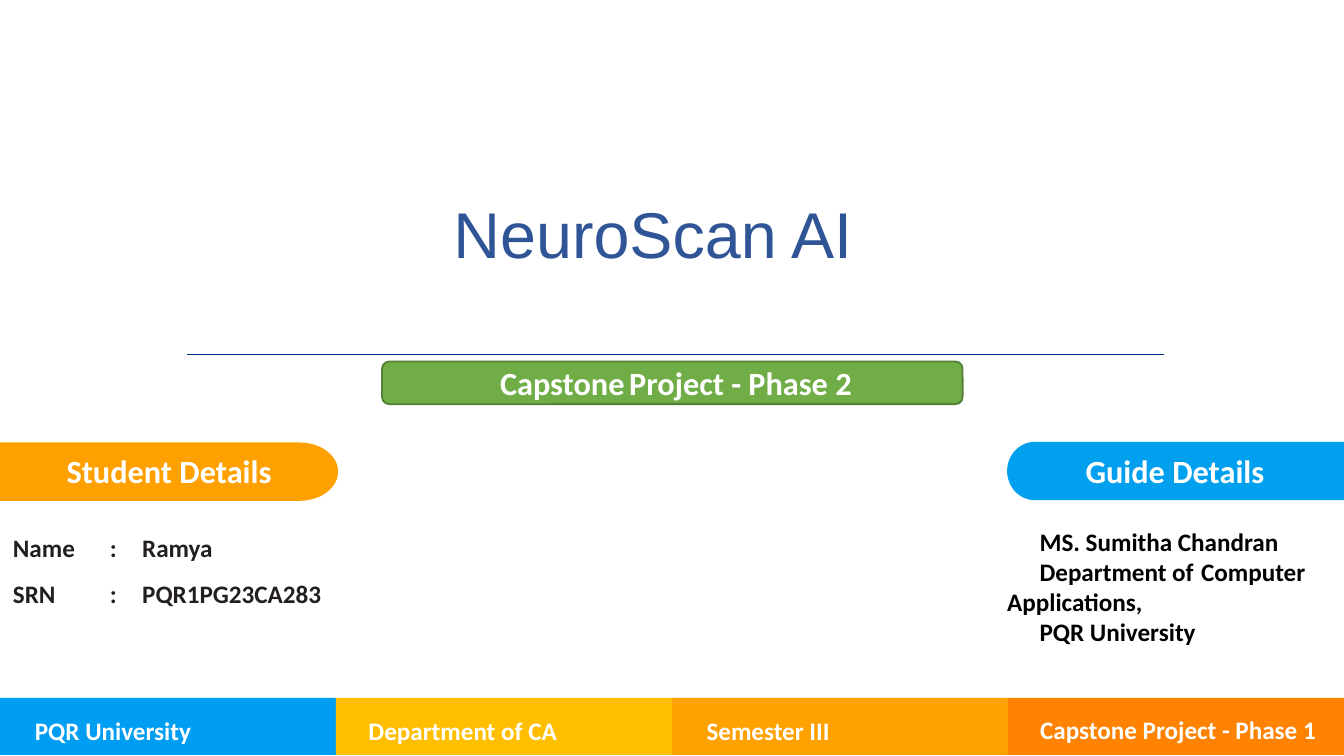
from dataclasses import dataclass
from math import cos, pi, sin

from lxml.etree import SubElement
from pptx import Presentation
from pptx.dml.color import RGBColor
from pptx.enum.shapes import MSO_CONNECTOR, MSO_SHAPE
from pptx.enum.text import MSO_ANCHOR, PP_ALIGN
from pptx.oxml.ns import qn
from pptx.shapes.autoshape import Shape
from pptx.slide import Slide
from pptx.text.text import _Run
from pptx.util import Pt

COLORS = {
    "blue": "009EF3", "yellow": "FFBF00", "amber": "FFA100", "orange": "FF8200",
    "student": "FFA001", "guide": "00A0EF", "green": "70AD47", "green_line": "538035",
    "title": "2F5597", "rule": "002E8E", "ink": "231F20", "black": "000000", "white": "FFFFFF",
}
WIDTH, HEIGHT = 1496.88, 841.68
FOOTER_TOP, FOOTER_HEIGHT = 776.9, 63.7
BANNER_HEIGHT = 65


@dataclass
class Label:
    text: str
    left: float
    top: float
    width: float
    height: float
    size: float = 28
    color: str = "white"
    font: str = "Calibri"
    bold: bool = True
    align: PP_ALIGN = PP_ALIGN.LEFT
    inset_left: float = 0
    inset_top: float = 1
    before: float = 1
    spacing: float = 1.0


@dataclass
class Segment:
    text: str
    color: str
    text_left: float
    text_top: float


@dataclass
class Banner:
    text: str
    color: str
    top: float
    flat_x: float
    cap_x: float
    cap_radius: float
    text_left: float
    text_width: float


LABELS = [
    Label("NeuroScan AI", 144, 215.3, 1166.4, 88.6, 72, "title", "Arial", False, PP_ALIGN.CENTER),
    Label("Name\t\t:\tRamya\nSRN\t\t:\tPQR1PG23CA283", 14.4, 574.6, 590.4, 97.9,
          color="ink", spacing=1.5),
    Label("\tMS. Sumitha Chandran\n\tDepartment of \tComputer Applications,\n\tPQR University",
          1121.8, 584.6, 360.7, 233.3, color="black", before=0),
]
SEGMENTS = [
    Segment("PQR University", "blue", 0, 789.1),
    Segment("Department of CA", "yellow", 371.5, 789.8),
    Segment("Semester III", "amber", 748, 789.1),
    Segment("Capstone Project - Phase 1", "orange", 1119.6, 787.7),
]
BANNERS = [
    Banner("Student Details", "student", 492.6, 0, 333.4, 43.2, 0, 376.6),
    Banner("Guide Details", "guide", 491.9, WIDTH, 1152.7, -31, 1121.8, 373.7),
]


def rgb(name: str) -> RGBColor:
    return RGBColor.from_string(COLORS[name])


def paint(sp: Shape, color: str) -> None:
    sp.shadow.inherit = False
    sp.fill.solid()
    sp.fill.fore_color.rgb = rgb(color)
    sp.line.fill.background()


def style(r: _Run, size: float, color: str, font: str = "Calibri", bold: bool = True) -> None:
    r.font.size = Pt(size)
    r.font.name = font
    r.font.bold = bold
    r.font.color.rgb = rgb(color)


def add_label(s: Slide, label: Label) -> None:
    tf = s.shapes.add_textbox(Pt(label.left), Pt(label.top),
                              Pt(label.width), Pt(label.height)).text_frame
    tf.word_wrap = True
    tf.margin_left, tf.margin_top = Pt(label.inset_left), Pt(label.inset_top)
    tf.margin_right = tf.margin_bottom = 0
    tf.text = label.text
    for p in tf.paragraphs:
        p.alignment = label.align
        p.space_before = Pt(label.before)
        p.line_spacing = label.spacing
        for r in p.runs:
            style(r, label.size, label.color, label.font, label.bold)


def add_footer(s: Slide) -> None:
    width = WIDTH / len(SEGMENTS)
    for i, seg in enumerate(SEGMENTS):
        sp = s.shapes.add_shape(MSO_SHAPE.RECTANGLE, Pt(i * width), Pt(FOOTER_TOP),
                                Pt(width), Pt(FOOTER_HEIGHT))
        paint(sp, seg.color)
    for seg in SEGMENTS:
        add_label(s, Label(seg.text, seg.text_left, seg.text_top, 367, 40.8,
                           inset_left=38.9, inset_top=7.2, before=6.9))


def add_banner(s: Slide, banner: Banner) -> None:
    radius, steps = BANNER_HEIGHT / 2, 24
    angles = [pi * i / steps - pi / 2 for i in range(steps + 1)]
    cap = [(Pt(banner.cap_x + banner.cap_radius * cos(a)),
            Pt(banner.top + radius + radius * sin(a))) for a in angles]
    builder = s.shapes.build_freeform(Pt(banner.flat_x), Pt(banner.top))
    builder.add_line_segments(cap + [(Pt(banner.flat_x), Pt(banner.top + BANNER_HEIGHT))])
    paint(builder.convert_to_shape(), banner.color)
    add_label(s, Label(banner.text, banner.text_left, banner.top + 8.9, banner.text_width, 43.9,
                       36, align=PP_ALIGN.CENTER))


def add_rule(s: Slide) -> None:
    rule = s.shapes.add_connector(MSO_CONNECTOR.STRAIGHT, Pt(208.8), Pt(394.6), Pt(1296), Pt(394.6))
    rule.line.color.rgb = rgb("rule")
    rule.line.width = Pt(0.67)
    SubElement(rule._element.spPr, qn("a:effectLst"))


def add_phase(s: Slide) -> None:
    sp = s.shapes.add_shape(MSO_SHAPE.ROUNDED_RECTANGLE, Pt(425.5), Pt(402.5), Pt(646.6), Pt(47.5))
    paint(sp, "green")
    sp.line.color.rgb = rgb("green_line")
    sp.line.width = Pt(2)
    sp.text_frame.vertical_anchor = MSO_ANCHOR.MIDDLE
    p = sp.text_frame.paragraphs[0]
    p.alignment = PP_ALIGN.CENTER
    for text, size, font, bold in [(" Capstone", 36, "Calibri", True), (" ", 18, "Arial", False),
                                   ("Project - Phase 2", 36, "Calibri", True)]:
        r = p.add_run()
        r.text = text
        style(r, size, "white", font, bold)


def main() -> None:
    """Build the capstone project title slide."""
    prs = Presentation()
    prs.slide_width, prs.slide_height = Pt(WIDTH), Pt(HEIGHT)
    s = prs.slides.add_slide(prs.slide_layouts[6])
    add_footer(s)
    add_rule(s)
    for label in LABELS:
        add_label(s, label)
    for banner in BANNERS:
        add_banner(s, banner)
    add_phase(s)
    prs.save("out.pptx")


if __name__ == "__main__":
    main()
